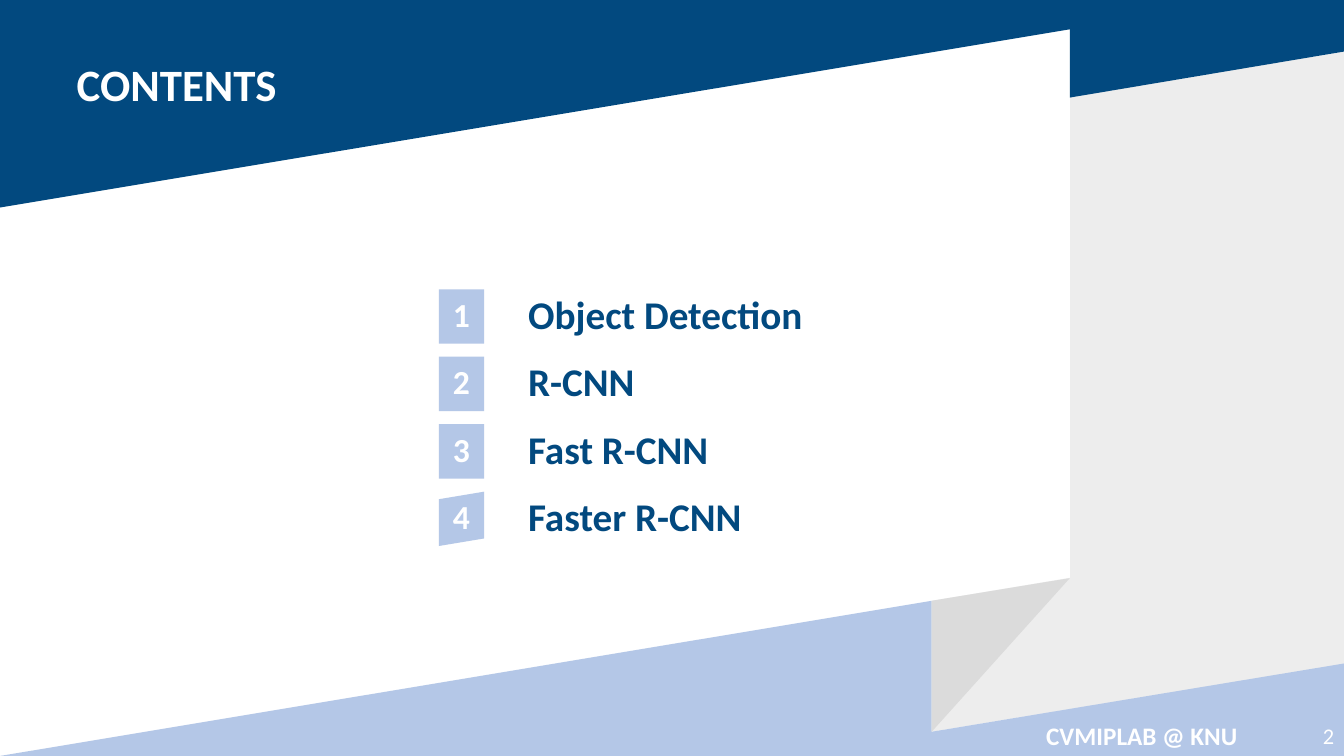
from dataclasses import dataclass

from pptx import Presentation
from pptx.dml.color import RGBColor
from pptx.enum.shapes import MSO_SHAPE
from pptx.enum.text import MSO_ANCHOR, PP_ALIGN
from pptx.util import Cm, Pt

COLORS = {
    "navy": "02497F",
    "light_blue": "B4C7E7",
    "grey": "EDEDED",
    "fold": "DBDBDB",
    "white": "FFFFFF",
}
FONT = "Calibri"
WIDTH, HEIGHT = 33.87, 19.05

# Contents list geometry, in cm
LIST_TOP, ROW_PITCH, ROW_HEIGHT = 7.29, 1.7, 1.37
BADGE_LEFT, BADGE_WIDTH, BADGE_SLANT = 11.06, 1.14, 0.19
ENTRY_LEFT, ENTRY_WIDTH = 13.06, 14.2


@dataclass
class Panel:
    color: str
    points: list[tuple[float, float]]


@dataclass
class Entry:
    text: str
    slanted: bool = False


PANELS = [
    Panel("grey", [(WIDTH, 1.3), (WIDTH, 16.74), (23.48, 18.44),
                   (23.48, 15.14), (26.97, 14.56), (26.97, 2.45)]),
    Panel("navy", [(0, 0), (WIDTH, 0), (WIDTH, 1.3),
                   (26.96, 2.46), (26.96, 0.74), (0, 5.23)]),
    Panel("light_blue", [(23.48, 15.14), (23.48, 18.44), (WIDTH, 16.72),
                         (WIDTH, HEIGHT), (0, HEIGHT)]),
    Panel("fold", [(26.96, 14.57), (23.48, 18.44), (23.48, 15.14)]),
]

ENTRIES = [
    Entry("Object Detection"),
    Entry("R-CNN"),
    Entry("Fast R-CNN"),
    Entry("Faster R-CNN", slanted=True),
]


def rgb(name: str) -> RGBColor:
    return RGBColor.from_string(COLORS[name])


def write(sp, text: str, *, size: float, color: str = "white", bold: bool = True,
          align=PP_ALIGN.LEFT, anchor=MSO_ANCHOR.MIDDLE, wrap: bool = True,
          spacing: float = 1.0) -> None:
    tf = sp.text_frame
    tf.word_wrap = wrap
    tf.vertical_anchor = anchor
    p = tf.paragraphs[0]
    p.alignment = align
    p.line_spacing = spacing
    r = p.add_run()
    r.text = text
    r.font.name = FONT
    r.font.size = Pt(size)
    r.font.bold = bold
    r.font.color.rgb = rgb(color)


def paint(sp, color: str) -> None:
    sp.shadow.inherit = False
    sp.fill.solid()
    sp.fill.fore_color.rgb = rgb(color)
    sp.line.fill.background()


def add_polygon(slide, points: list[tuple[float, float]], color: str):
    start, *rest = [(Cm(x), Cm(y)) for x, y in points]
    builder = slide.shapes.build_freeform(*start)
    builder.add_line_segments(rest, close=True)
    sp = builder.convert_to_shape()
    paint(sp, color)
    return sp


def add_label(slide, left: float, top: float, width: float, height: float,
              text: str, **style) -> None:
    sp = slide.shapes.add_textbox(Cm(left), Cm(top), Cm(width), Cm(height))
    write(sp, text, **style)


def add_badge(slide, number: int, top: float, slanted: bool) -> None:
    if slanted:
        right, bottom = BADGE_LEFT + BADGE_WIDTH, top + ROW_HEIGHT
        sp = add_polygon(slide, [(BADGE_LEFT, top + BADGE_SLANT), (right, top),
                                 (right, bottom - BADGE_SLANT),
                                 (BADGE_LEFT, bottom)], "light_blue")
    else:
        sp = slide.shapes.add_shape(MSO_SHAPE.RECTANGLE, Cm(BADGE_LEFT), Cm(top),
                                    Cm(BADGE_WIDTH), Cm(ROW_HEIGHT))
        paint(sp, "light_blue")
    tf = sp.text_frame
    tf.margin_left = tf.margin_right = 0
    write(sp, str(number), size=24, align=PP_ALIGN.CENTER, spacing=0.9)


def main() -> None:
    prs = Presentation()
    prs.slide_width, prs.slide_height = Cm(WIDTH), Cm(HEIGHT)
    slide = prs.slides.add_slide(prs.slide_layouts[5])

    # Folded ribbon background
    for panel in PANELS:
        add_polygon(slide, panel.points, panel.color)

    # Title, raised above the background
    title = slide.shapes.title
    title.left, title.top = Cm(1.68), Cm(1.3)
    title.width, title.height = Cm(5.61), Cm(1.63)
    write(title, "CONTENTS", size=32, anchor=MSO_ANCHOR.TOP, wrap=False)
    slide.shapes._spTree.append(title._element)

    # Numbered contents
    for i, entry in enumerate(ENTRIES):
        top = LIST_TOP + i * ROW_PITCH
        add_badge(slide, i + 1, top, entry.slanted)
        add_label(slide, ENTRY_LEFT, top, ENTRY_WIDTH, ROW_HEIGHT, entry.text,
                  size=28, color="navy", spacing=0.9)

    # Footer and page number
    add_label(slide, 25.22, 18.03, 7.11, 1.02, "CVMIPLAB @ KNU",
              size=18, align=PP_ALIGN.CENTER)
    add_label(slide, 32.33, 18.03, 1.54, 1.02, "2",
              size=16, bold=False, align=PP_ALIGN.RIGHT)

    prs.save("out.pptx")


if __name__ == "__main__":
    main()
